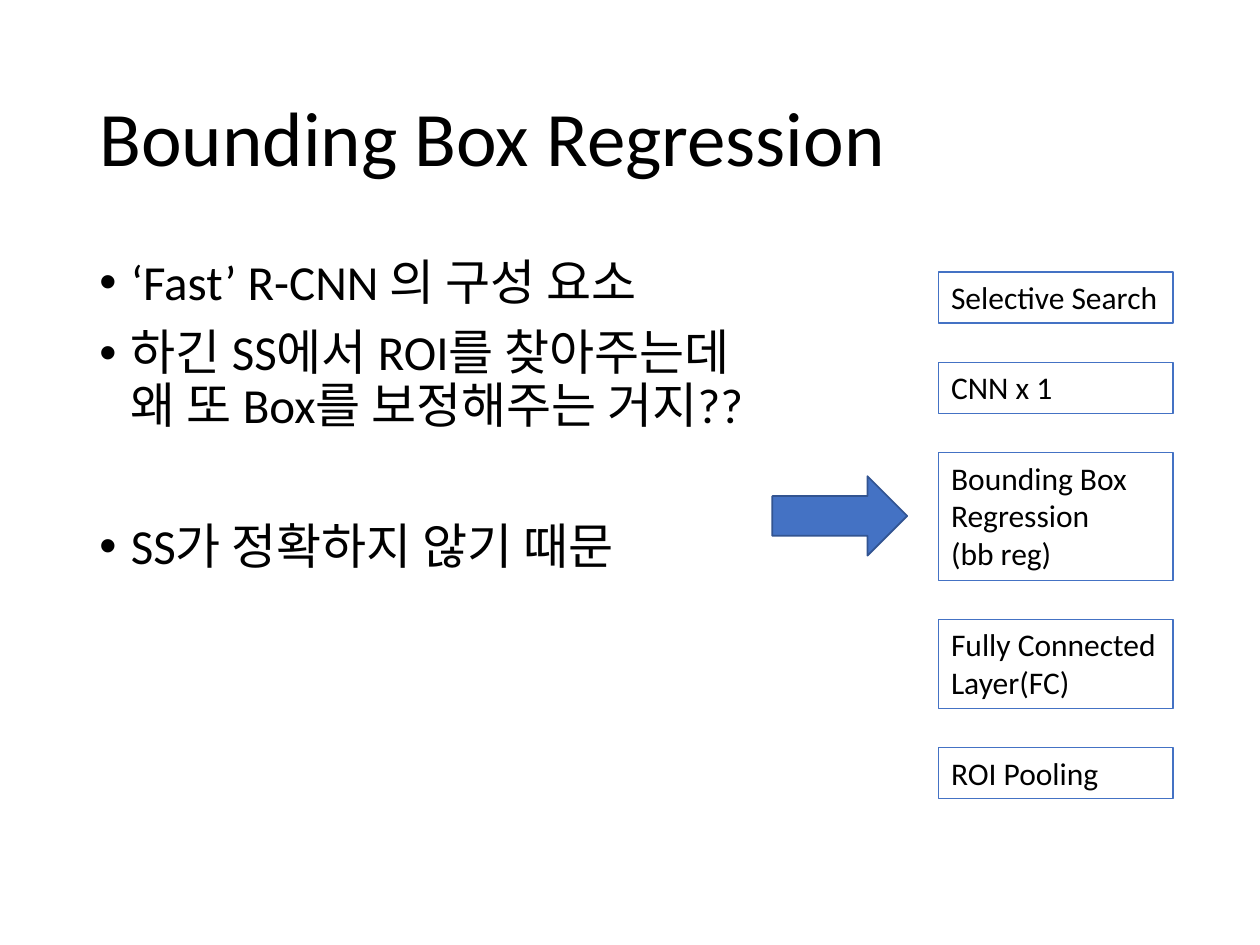
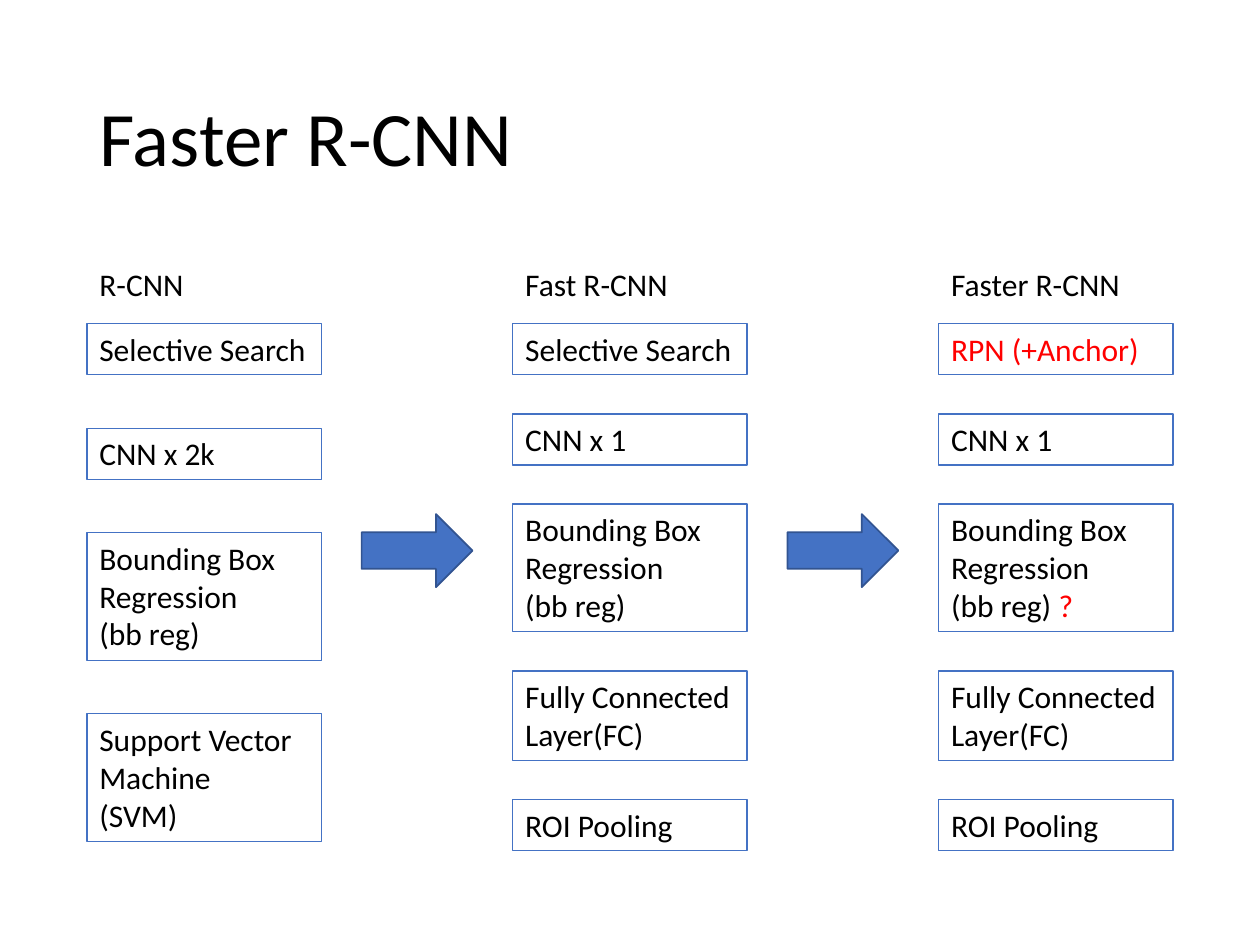
from dataclasses import dataclass

from lxml.etree import SubElement
from pptx import Presentation
from pptx.dml.color import RGBColor
from pptx.enum.shapes import MSO_SHAPE
from pptx.enum.text import MSO_ANCHOR, MSO_AUTO_SIZE, PP_ALIGN
from pptx.oxml.ns import qn
from pptx.util import Inches, Pt

BLACK = RGBColor(0x00, 0x00, 0x00)
RED = RGBColor(0xFF, 0x00, 0x00)
BLUE = RGBColor(0x44, 0x72, 0xC4)
DARK_BLUE = RGBColor(0x32, 0x54, 0x91)
FONT = "Calibri"

SLIDE_WIDTH, SLIDE_HEIGHT = Inches(10), Inches(7.5)
UNIT = SLIDE_WIDTH / 100  # the grid has 100 columns and 75 rows

STEP_WIDTH = 18.6
LINE_ROWS, PADDING_ROWS = 3.05, 1


@dataclass
class Box:
    """A rectangle in grid columns and rows."""
    left: float
    top: float
    width: float
    height: float

    def place(self):
        return [round(length * UNIT) for length in (self.left, self.top, self.width, self.height)]


@dataclass
class Step:
    """A stage of a network; accent is the red ending of its text."""
    text: str
    lines: int = 1
    accent: str = ""

    def rows(self):
        return PADDING_ROWS + LINE_ROWS * self.lines


CONTENT = Box(6.9, 20, 86.2, 47.6)
TITLE = Box(CONTENT.left, 4, CONTENT.width, 14.5)
COLUMN_PITCH = (CONTENT.width - STEP_WIDTH) / 2

SELECTIVE_SEARCH = Step("Selective Search")
BOX_REGRESSION = "Bounding Box Regression\n(bb reg)"
SHARED_TAIL = [Step("Fully Connected Layer(FC)", 2), Step("ROI Pooling")]
R_CNN = [SELECTIVE_SEARCH, Step("CNN x 2k"), Step(BOX_REGRESSION, 3),
         Step("Support Vector Machine\n(SVM)", 3)]
FAST_R_CNN = [SELECTIVE_SEARCH, Step("CNN x 1"), Step(BOX_REGRESSION, 3), *SHARED_TAIL]
FASTER_R_CNN = [Step("", accent="RPN (+Anchor)"), Step("CNN x 1"),
                Step(BOX_REGRESSION + " ", 3, "?"), *SHARED_TAIL]


def step_column(index, top, height):
    return Box(CONTENT.left + index * COLUMN_PITCH, top, STEP_WIDTH, height)


def format_runs(paragraph, size, color=BLACK):
    for run in paragraph.runs:
        run.font.name = FONT
        run.font.size = Pt(size)
        run.font.color.rgb = color


def add_titled_slide(presentation, text):
    slide = presentation.slides.add_slide(presentation.slide_layouts[5])
    title = slide.shapes.title
    title.left, title.top, title.width, title.height = TITLE.place()
    frame = title.text_frame
    frame.text = text
    frame.auto_size = MSO_AUTO_SIZE.NONE
    frame.vertical_anchor = MSO_ANCHOR.MIDDLE
    paragraph = frame.paragraphs[0]
    paragraph.alignment = PP_ALIGN.LEFT
    paragraph.line_spacing = 0.9
    format_runs(paragraph, 44)
    return slide


def add_bullets(slide, box, bullets):
    """Write (text, space before in points) pairs as a bulleted list."""
    frame = slide.shapes.add_textbox(*box.place()).text_frame
    frame.word_wrap = True
    for number, (text, space_before) in enumerate(bullets):
        paragraph = frame.add_paragraph() if number else frame.paragraphs[0]
        paragraph.text = text
        paragraph.line_spacing = 0.9
        paragraph.space_before = Pt(space_before)
        properties = paragraph._p.get_or_add_pPr()
        properties.set("marL", str(Inches(0.25)))
        properties.set("indent", str(-Inches(0.25)))
        SubElement(properties, qn("a:buFont"), typeface="Arial")
        SubElement(properties, qn("a:buChar"), char="•")
        format_runs(paragraph, 28)


def format_label(shape, text):
    frame = shape.text_frame
    frame.text = text
    frame.word_wrap = True
    frame.auto_size = MSO_AUTO_SIZE.SHAPE_TO_FIT_TEXT
    frame.vertical_anchor = MSO_ANCHOR.TOP
    for paragraph in frame.paragraphs:
        paragraph.alignment = PP_ALIGN.LEFT
        format_runs(paragraph, 18)


def add_step(slide, box, step):
    shape = slide.shapes.add_shape(MSO_SHAPE.RECTANGLE, *box.place())
    shape.shadow.inherit = False
    shape.fill.background()
    shape.line.color.rgb = BLUE
    shape.line.width = Pt(0.75)
    format_label(shape, step.text)
    if step.accent:
        paragraph = shape.text_frame.paragraphs[-1]
        run = paragraph.add_run()
        run.text = step.accent
        run.font.name = FONT
        run.font.size = Pt(18)
        run.font.color.rgb = RED


def add_steps(slide, box, steps):
    """Stack the steps with equal gaps so that they fill the box."""
    gap = (box.height - sum(step.rows() for step in steps)) / (len(steps) - 1)
    top = box.top
    for step in steps:
        add_step(slide, Box(box.left, top, box.width, step.rows()), step)
        top += step.rows() + gap


def add_caption(slide, box, text):
    format_label(slide.shapes.add_textbox(*box.place()), text)


def add_arrow(slide, box):
    arrow = slide.shapes.add_shape(MSO_SHAPE.RIGHT_ARROW, *box.place())
    arrow.shadow.inherit = False
    arrow.fill.solid()
    arrow.fill.fore_color.rgb = BLUE
    arrow.line.color.rgb = DARK_BLUE
    arrow.line.width = Pt(1)


def add_regression_slide(presentation):
    slide = add_titled_slide(presentation, "Bounding Box Regression")
    add_bullets(slide, CONTENT, [
        ("‘Fast’ R-CNN 의 구성 요소", 0),
        ("하긴 SS에서 ROI를 찾아주는데\v왜 또 Box를 보정해주는 거지??", 10),
        ("SS가 정확하지 않기 때문", 50),
    ])
    add_steps(slide, step_column(2, 21.6, 41.8), FAST_R_CNN)
    add_arrow(slide, Box(61.3, 37.8, 10.7, 6.3))


def add_comparison_slide(presentation):
    slide = add_titled_slide(presentation, "Faster R-CNN")
    networks = [("R-CNN", R_CNN, 41.1), ("Fast R-CNN", FAST_R_CNN, 41.8),
                ("Faster R-CNN", FASTER_R_CNN, 41.8)]
    arrow_width = 8.8
    arrow_offset = (COLUMN_PITCH + STEP_WIDTH - arrow_width) / 2
    for index, (name, steps, height) in enumerate(networks):
        column = step_column(index, 25.7, height)
        add_caption(slide, step_column(index, 20.5, PADDING_ROWS + LINE_ROWS), name)
        add_steps(slide, column, steps)
        if index < len(networks) - 1:
            add_arrow(slide, Box(column.left + arrow_offset, 40.8, arrow_width, 5.8))


def main():
    presentation = Presentation()
    presentation.slide_width, presentation.slide_height = SLIDE_WIDTH, SLIDE_HEIGHT
    add_regression_slide(presentation)
    add_comparison_slide(presentation)
    presentation.save("out.pptx")


if __name__ == "__main__":
    main()
